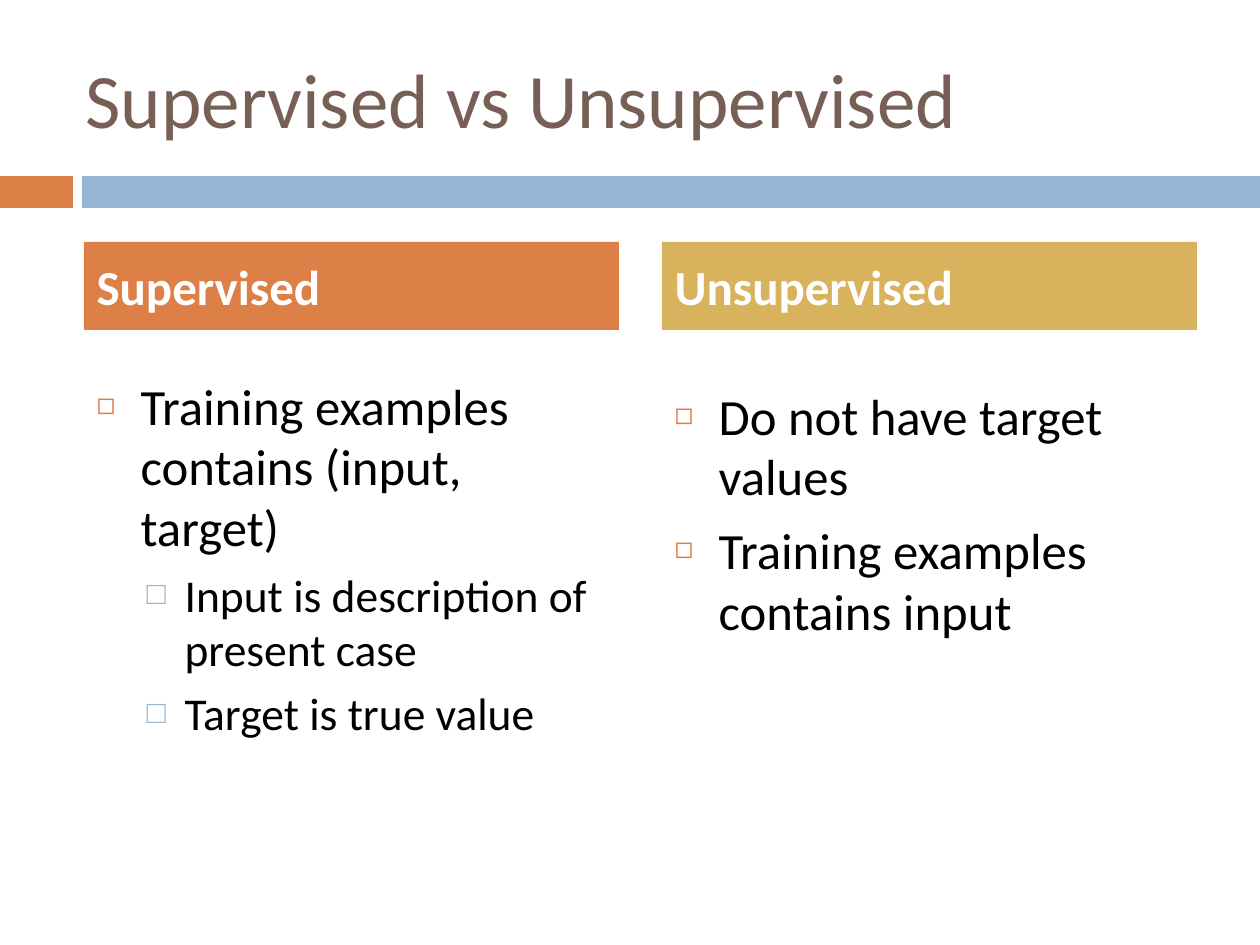
from lxml import etree
from pptx import Presentation
from pptx.dml.color import RGBColor
from pptx.enum.shapes import MSO_SHAPE
from pptx.enum.text import MSO_ANCHOR, MSO_AUTO_SIZE, PP_ALIGN
from pptx.oxml.ns import qn
from pptx.util import Pt

RECT = MSO_SHAPE.RECTANGLE
MIDDLE, TOP = MSO_ANCHOR.MIDDLE, MSO_ANCHOR.TOP
LEFT = PP_ALIGN.LEFT
NO_FIT = MSO_AUTO_SIZE.NONE

ORANGE = RGBColor(0xDD, 0x80, 0x47)
BLUE = RGBColor(0x94, 0xB6, 0xD2)
GOLD = RGBColor(0xD8, 0xB2, 0x5C)
BROWN = RGBColor(0x77, 0x5F, 0x55)
WHITE = RGBColor(0xFF, 0xFF, 0xFF)
BLACK = RGBColor(0, 0, 0)

PX = 914400 / 126
FONT = "Calibri"
WIDE, HIGH = 1260, 945

TITLE = "Supervised vs Unsupervised"
# heading, fill, list top, list height, (level, text) items
COLUMNS = [
    ("Supervised", ORANGE, 368, 462, [
        (0, "Training examples contains (input, target)"),
        (1, "Input is description of present case"),
        (1, "Target is true value"),
    ]),
    ("Unsupervised", GOLD, 378, 451, [
        (0, "Do not have target values"),
        (0, "Training examples contains input"),
    ]),
]
# bullet, colour, bullet percent, margin px, hanging px, size pt, space before pt
LEVELS = [
    ("◻", ORANGE, 60, 44, 44, 29, 7),
    ("□", BLUE, 70, 88, 38, 26, 5.5),
]
BARS = [(0, 73, ORANGE), (82, WIDE - 82, BLUE)]
BAR_TOP, BAR_HIGH = 176, 32
COL_LEFT, COL_WIDE, COL_STEP = 84, 535, 578
HEAD_TOP, HEAD_HIGH = 242, 88


def emu(px):
    return round(px * PX)


def place(shape, left, top, width, height):
    shape.left, shape.top = emu(left), emu(top)
    shape.width, shape.height = emu(width), emu(height)


def paint(shape, color):
    shape.fill.solid()
    shape.fill.fore_color.rgb = color


def frame(shape, anchor):
    text = shape.text_frame
    text.word_wrap = True
    text.auto_size = NO_FIT
    text.vertical_anchor = anchor
    return text


def style(para, size, color, bold=False):
    para.alignment = LEFT
    for run in para.runs:
        font = run.font
        font.name, font.size, font.bold = FONT, Pt(size), bold
        font.color.rgb = color


def add_bullet(para, char, color, percent, margin, hang):
    props = para._p.get_or_add_pPr()
    props.set("marL", str(emu(margin)))
    props.set("indent", str(-emu(hang)))
    tint = etree.SubElement(props, qn("a:buClr"))
    etree.SubElement(tint, qn("a:srgbClr"), val=str(color))
    etree.SubElement(props, qn("a:buSzPct"), val=str(percent * 1000))
    etree.SubElement(props, qn("a:buChar"), char=char)


def fill_list(shape, items):
    text = frame(shape, TOP)
    for i, (level, words) in enumerate(items):
        para = text.add_paragraph() if i else text.paragraphs[0]
        para.text = words
        para.level = level
        char, color, percent, margin, hang, size, gap = LEVELS[level]
        add_bullet(para, char, color, percent, margin, hang)
        para.space_before = Pt(gap if i else 0)
        style(para, size, BLACK)


def fill_line(shape, words, size, color, bold=False):
    text = frame(shape, MIDDLE)
    text.text = words
    para = text.paragraphs[0]
    para.space_before = Pt(0)
    style(para, size, color, bold)


def main():
    deck = Presentation()
    deck.slide_width, deck.slide_height = emu(WIDE), emu(HIGH)
    slide = deck.slides.add_slide(deck.slide_layouts.get_by_name("Comparison"))

    for left, width, color in BARS:
        bar = slide.shapes.add_shape(RECT, 0, 0, 0, 0)
        place(bar, left, BAR_TOP, width, BAR_HIGH)
        paint(bar, color)
        bar.line.fill.background()
        bar.shadow.inherit = False

    title, *boxes = slide.placeholders
    place(title, 73, 38, 1124, 120)
    fill_line(title, TITLE, 44, BROWN)

    pairs = zip(boxes[::2], boxes[1::2])
    for i, ((head, body), column) in enumerate(zip(pairs, COLUMNS)):
        name, color, top, height, items = column
        left = COL_LEFT + i * COL_STEP
        place(head, left, HEAD_TOP, COL_WIDE, HEAD_HIGH)
        paint(head, color)
        fill_line(head, name, 28, WHITE, True)
        place(body, left, top, COL_WIDE, height)
        fill_list(body, items)

    deck.save("out.pptx")


if __name__ == "__main__":
    main()
